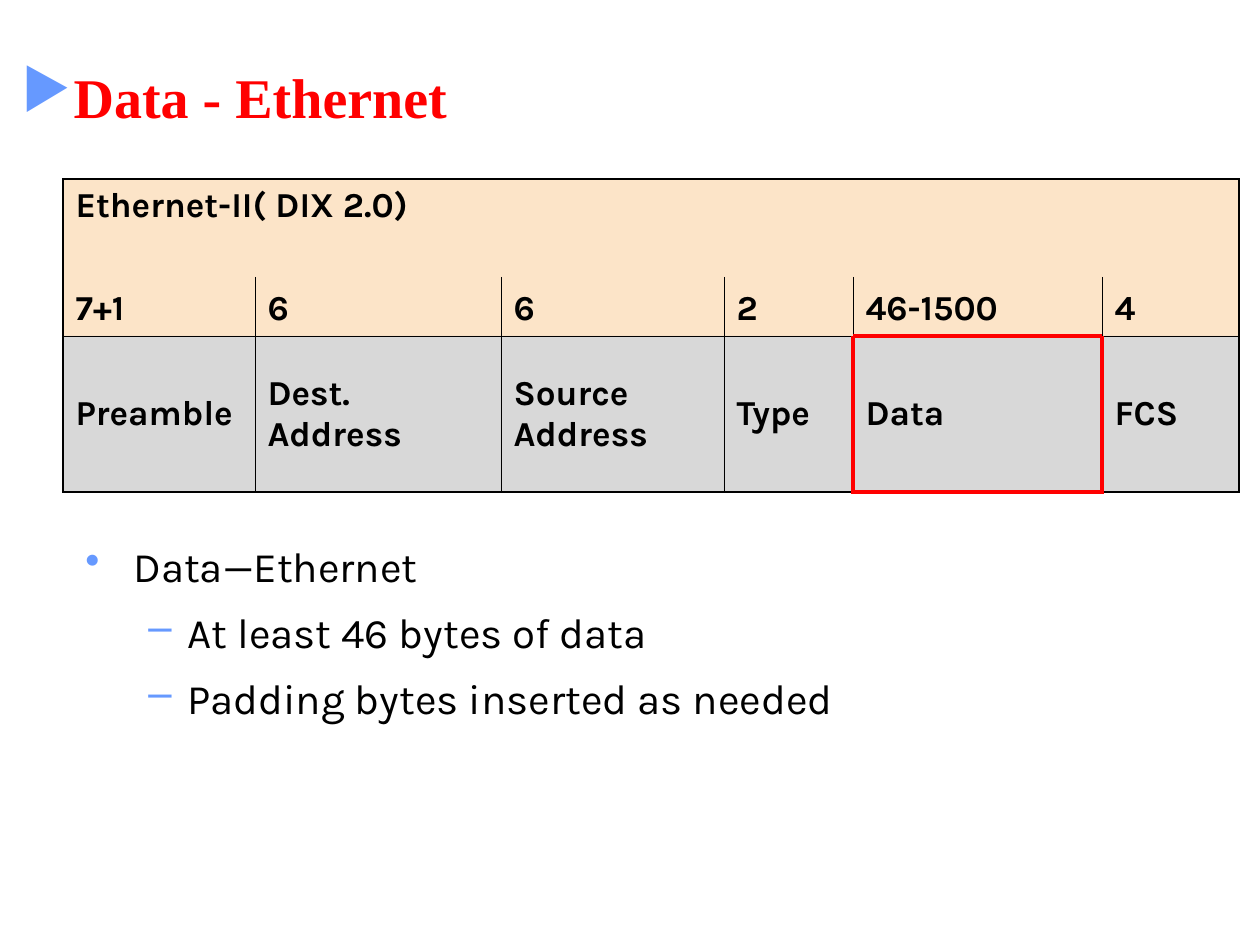
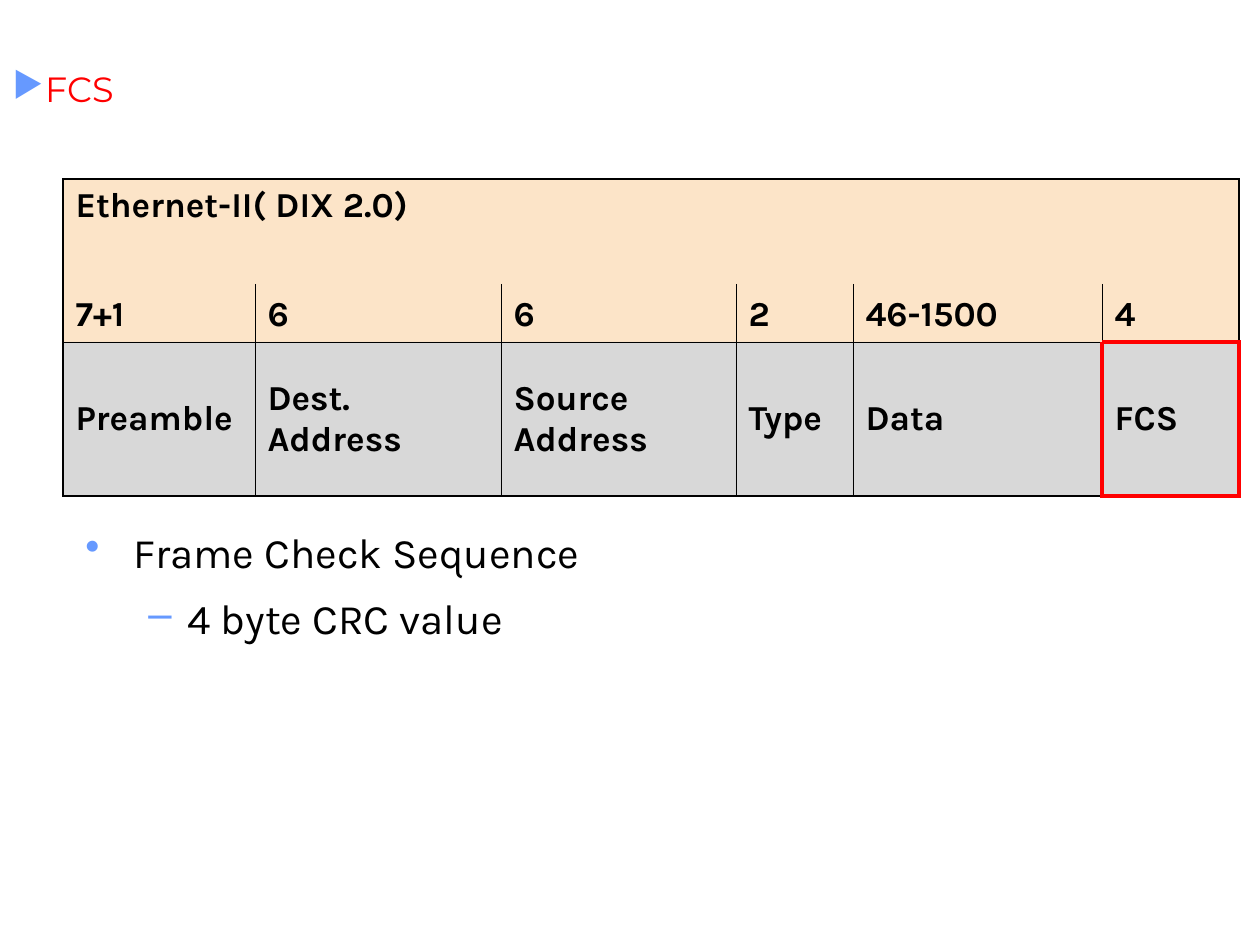
from dataclasses import dataclass

from lxml import etree
from pptx import Presentation
from pptx.dml.color import RGBColor
from pptx.enum.text import MSO_ANCHOR, MSO_AUTO_SIZE, PP_ALIGN
from pptx.oxml.ns import qn
from pptx.util import Emu, Pt

TOP, MIDDLE, BOTTOM = MSO_ANCHOR.TOP, MSO_ANCHOR.MIDDLE, MSO_ANCHOR.BOTTOM
LEFT = PP_ALIGN.LEFT
NO_AUTOFIT = MSO_AUTO_SIZE.NONE
EMU_PER_PX = 914400 / 126
TITLE_ONLY = 5


@dataclass(frozen=True)
class TextStyle:
    """Font face, size, colour and weight of a kind of text."""
    face: str
    size: int
    color: str
    bold: bool = False


@dataclass(frozen=True)
class Theme:
    """Colours, line widths and text styles shared by the slides."""
    black: str = "000000"
    red: str = "FF0000"
    bullet: str = "6699FF"
    size_fill: str = "FCE4C8"
    field_fill: str = "B2B2B2"
    field_opacity: int = 50
    inner_line: float = 0.45
    outer_line: float = 1.08
    marked_line: float = 2.21
    serif_title: TextStyle = TextStyle("Times New Roman", 32, "FF0000", True)
    plain_title: TextStyle = TextStyle("Montserrat", 20, "FF0000")
    body: TextStyle = TextStyle("Karla", 24, "000000")
    cell: TextStyle = TextStyle("Karla", 20, "000000", True)


THEME = Theme()
FRAME_HEADING = "Ethernet-II( DIX 2.0)"
FIELD_SIZES = ["7+1", "6", "6", "2", "46-1500", "4"]
FIELD_NAMES = ["Preamble", "Dest. Address", "Source Address", "Type", "Data", "FCS"]
HEADING_SPAN = 3
FIELD_ROW = 2
BULLET_LEVELS = [("•", 48, 48), ("–", 102, 39)]
SIDES = {"a:lnL": (0, -1), "a:lnR": (0, 1), "a:lnT": (-1, 0), "a:lnB": (1, 0)}


def px(length):
    """Turn whole px into EMU."""
    return Emu(round(length * EMU_PER_PX))


def add_element(parent, tag, **attributes):
    """Append an XML child with the given attributes."""
    child = etree.SubElement(parent, qn(tag))
    for name, value in attributes.items():
        child.set(name, str(value))
    return child


def add_color(parent, color):
    """Append a solid colour element."""
    add_element(parent, "a:srgbClr", val=color)


def set_bullet(para, mark, indent=0, hanging=0):
    """Give a paragraph a coloured bullet and its indents."""
    properties = para._p.get_or_add_pPr()
    properties.set("marL", str(px(indent)))
    properties.set("indent", str(-px(hanging)))
    add_color(add_element(properties, "a:buClr"), THEME.bullet)
    add_element(properties, "a:buChar", char=mark)


def style_paragraph(para, style):
    """Apply a text style to a whole paragraph."""
    para.alignment = LEFT
    para.font.name = style.face
    para.font.size = Pt(style.size)
    para.font.bold = style.bold
    para.font.color.rgb = RGBColor.from_string(style.color)


def set_frame(frame):
    """Let a text frame wrap at a fixed size around its middle."""
    frame.word_wrap = True
    frame.auto_size = NO_AUTOFIT
    frame.vertical_anchor = MIDDLE


def add_title(page, text, bounds, style):
    """Place and format the title placeholder."""
    title = page.shapes.title
    title.left, title.top, title.width, title.height = map(px, bounds)
    set_frame(title.text_frame)
    para = title.text_frame.paragraphs[0]
    para.text = text
    set_bullet(para, "▶")
    style_paragraph(para, style)


def add_bullets(page, bounds, items):
    """Add a heading bullet followed by second-level bullets."""
    frame = page.shapes.add_textbox(*map(px, bounds)).text_frame
    set_frame(frame)
    for index, text in enumerate(items):
        para = frame.add_paragraph() if index else frame.paragraphs[0]
        para.text = text
        para.level = min(index, 1)
        set_bullet(para, *BULLET_LEVELS[para.level])
        if index:
            para.space_before = Pt(9)
        style_paragraph(para, THEME.body)


def edge_line(row, column, step, marked):
    """Return colour and width of a cell edge, or None for no line."""
    neighbour = (row + step[0], column + step[1])
    if (FIELD_ROW, marked) in ((row, column), neighbour):
        return THEME.red, THEME.marked_line
    if not (0 <= neighbour[0] <= FIELD_ROW and 0 <= neighbour[1] < len(FIELD_NAMES)):
        return THEME.black, THEME.outer_line
    if 0 in (row, neighbour[0]):
        return None
    return THEME.black, THEME.inner_line


def draw_borders(cell, row, column, marked):
    """Draw the four edges of a cell."""
    properties = cell._tc.get_or_add_tcPr()
    for tag, step in SIDES.items():
        line = edge_line(row, column, step, marked)
        if line:
            color, width = line
            edge = add_element(properties, tag, w=Pt(width))
            add_color(add_element(edge, "a:solidFill"), color)
        else:
            add_element(add_element(properties, tag, w=0), "a:noFill")


def fill_cell(cell, color, opacity=100):
    """Fill a cell with a colour of the given opacity."""
    cell.fill.solid()
    cell.fill.fore_color.rgb = RGBColor.from_string(color)
    if opacity < 100:
        fill = cell._tc.tcPr.find(qn("a:solidFill"))
        add_element(fill.find(qn("a:srgbClr")), "a:alpha", val=opacity * 1000)


def add_frame_table(page, widths, heights, marked_field):
    """Add the Ethernet frame table with one field outlined."""
    bounds = (63, 179, sum(widths), sum(heights))
    table = page.shapes.add_table(len(heights), len(widths), *map(px, bounds)).table
    table.first_row = table.horz_banding = False
    for column, width in zip(table.columns, widths):
        column.width = px(width)
    for row, height in zip(table.rows, heights):
        row.height = px(height)
    table.cell(0, 0).merge(table.cell(0, HEADING_SPAN - 1))
    marked = FIELD_NAMES.index(marked_field)
    heading = [FRAME_HEADING] + [""] * (len(widths) - 1)
    rows = [
        (heading, TOP, THEME.size_fill, 100),
        (FIELD_SIZES, BOTTOM, THEME.size_fill, 100),
        (FIELD_NAMES, MIDDLE, THEME.field_fill, THEME.field_opacity),
    ]
    for row, (texts, anchor, color, opacity) in enumerate(rows):
        for column, text in enumerate(texts):
            cell = table.cell(row, column)
            draw_borders(cell, row, column, marked)
            fill_cell(cell, color, opacity)
            cell.vertical_anchor = anchor
            if text:
                cell.text = text
                style_paragraph(cell.text_frame.paragraphs[0], THEME.cell)


def add_page(deck):
    """Add a title-only slide."""
    return deck.slides.add_slide(deck.slide_layouts[TITLE_ONLY])


def main():
    """Build and save the two slides."""
    deck = Presentation()
    deck.slide_width, deck.slide_height = px(1260), px(945)

    page = add_page(deck)
    add_title(page, "Data - Ethernet", (9, 44, 580, 105), THEME.serif_title)
    add_bullets(page, (73, 525, 871, 213), [
        "Data—Ethernet",
        "At least 46 bytes of data",
        "Padding bytes inserted as needed",
    ])
    add_frame_table(page, [192, 246, 223, 129, 249, 137], [98, 59, 156], "Data")

    page = add_page(deck)
    add_title(page, "FCS", (0, 53, 984, 72), THEME.plain_title)
    add_bullets(page, (73, 514, 672, 142), ["Frame Check Sequence", "4 byte CRC value"])
    add_frame_table(page, [192, 246, 235, 117, 249, 137], [105, 58, 154], "FCS")

    deck.save("out.pptx")


if __name__ == "__main__":
    main()
